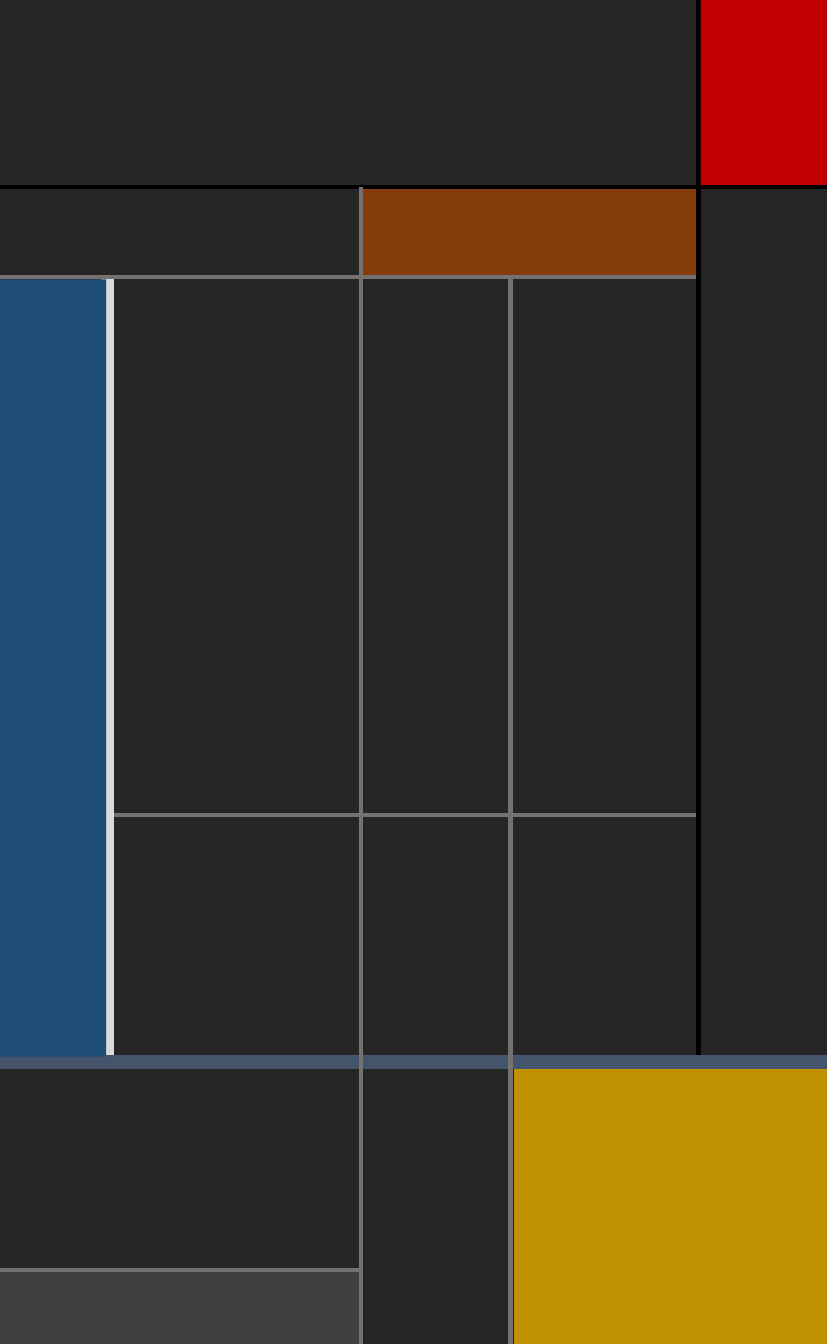
from pptx import Presentation
from pptx.dml.color import RGBColor
from pptx.enum.shapes import MSO_CONNECTOR, MSO_SHAPE
from pptx.oxml.ns import qn
from pptx.util import Inches, Pt
from lxml.etree import SubElement

CHARCOAL = RGBColor(0x26, 0x26, 0x26)
BLACK = RGBColor(0x00, 0x00, 0x00)
GREY = RGBColor(0x76, 0x71, 0x71)
SILVER = RGBColor(0xDB, 0xDB, 0xDB)
SLATE = RGBColor(0x44, 0x54, 0x6A)
BLUE = RGBColor(0x1F, 0x4E, 0x79)
RED = RGBColor(0xC0, 0x00, 0x00)
GOLD = RGBColor(0xBF, 0x90, 0x00)
BROWN = RGBColor(0x84, 0x3C, 0x0B)
DARK_GREY = RGBColor(0x40, 0x40, 0x40)

# The page measures 20 by 32.5 centimetres
WIDTH, HEIGHT = 20 / 2.54, 32.5 / 2.54

deck = Presentation()
deck.slide_width, deck.slide_height = Inches(WIDTH), Inches(HEIGHT)
page = deck.slides.add_slide(deck.slide_layouts[6])
page.background.fill.solid()
page.background.fill.fore_color.rgb = CHARCOAL

# Grid lines, back to front: start x, start y, end x, end y, colour, points
grid_lines = [
    (0, 1.78, WIDTH, 1.78, BLACK, 3),
    (6.65, 0, 6.65, HEIGHT, BLACK, 3.5),
    (0, 2.64, 6.63, 2.64, GREY, 3),
    (1.02, 2.66, 1.02, 10.07, SILVER, 9),
    (WIDTH, 10.11, 0, 10.11, SLATE, 9),
    (4.86, 2.64, 4.86, HEIGHT, GREY, 3),
    (3.44, 1.78, 3.44, HEIGHT, GREY, 3),
    (1.09, 7.76, 6.63, 7.76, GREY, 3),
    (0, 12.09, 3.42, 12.09, GREY, 3),
]
for start_x, start_y, end_x, end_y, colour, points in grid_lines:
    line = page.shapes.add_connector(
        MSO_CONNECTOR.STRAIGHT,
        Inches(start_x), Inches(start_y), Inches(end_x), Inches(end_y))
    line.line.color.rgb = colour
    line.line.width = Pt(points)
    SubElement(line._element.spPr, qn("a:effectLst"))

# Colour blocks over the lines: preset, left, top, right, bottom, colour
PROCESS = MSO_SHAPE.FLOWCHART_PROCESS
colour_blocks = [
    (MSO_SHAPE.RECTANGLE, 0, 2.66, 1.01, 10.06, BLUE),
    (MSO_SHAPE.RECTANGLE, 6.67, 0, WIDTH, 1.76, RED),
    (PROCESS, 4.89, 10.18, WIDTH, HEIGHT, GOLD),
    (PROCESS, 3.46, 1.8, 6.63, 2.62, BROWN),
    (PROCESS, 0, 12.11, 3.42, HEIGHT, DARK_GREY),
]
for preset, left, top, right, bottom, colour in colour_blocks:
    block = page.shapes.add_shape(
        preset, Inches(left), Inches(top),
        Inches(right - left), Inches(bottom - top))
    block.fill.solid()
    block.fill.fore_color.rgb = colour
    block.line.fill.background()
    block.shadow.inherit = False

deck.save("out.pptx")
